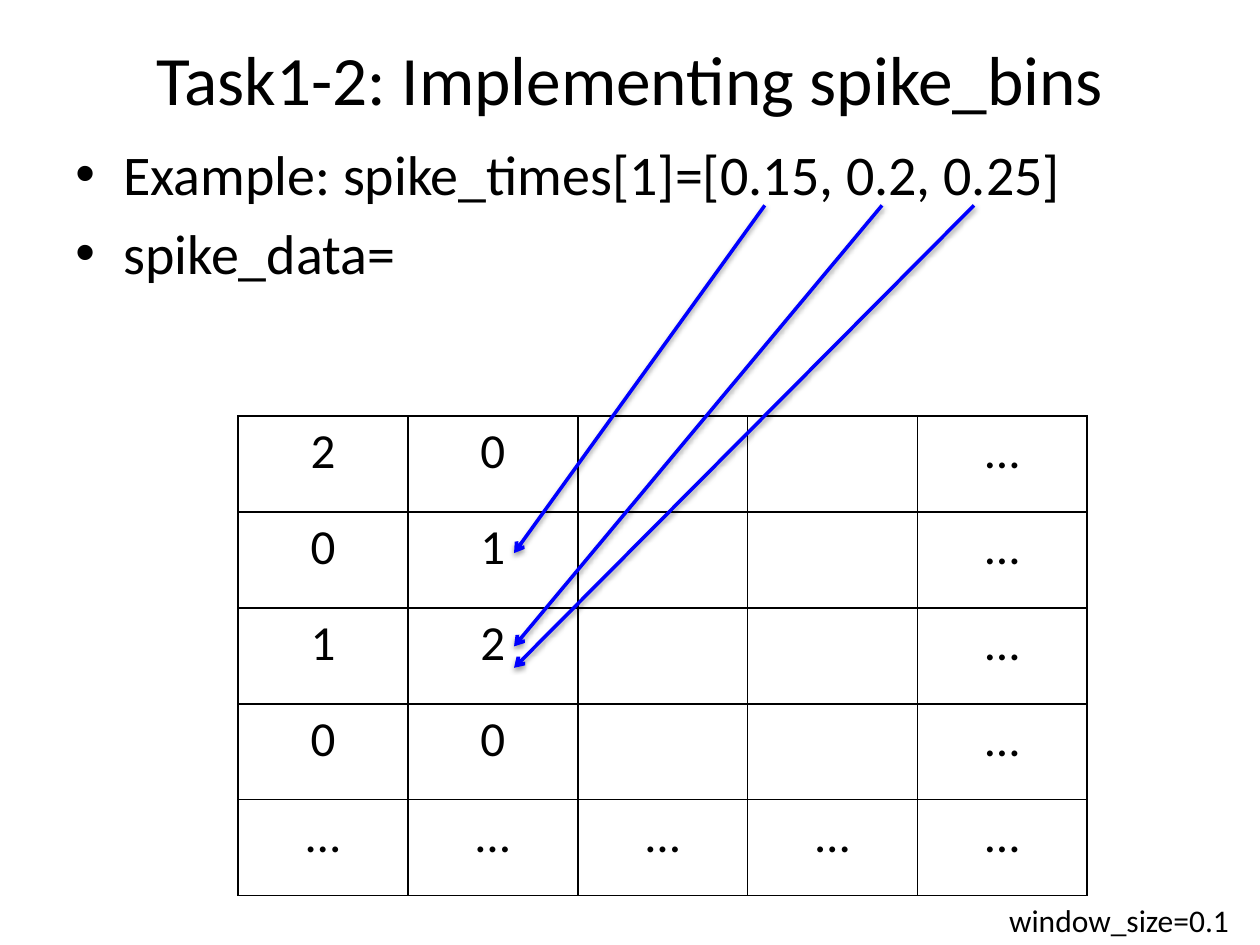
from lxml.etree import SubElement
from pptx import Presentation
from pptx.dml.color import RGBColor
from pptx.enum.shapes import MSO_CONNECTOR as Connector
from pptx.enum.text import MSO_ANCHOR as Anchor, MSO_AUTO_SIZE as AutoSize, PP_ALIGN as Align
from pptx.oxml.ns import qn
from pptx.util import Inches, Pt

BLACK = RGBColor(0x00, 0x00, 0x00)
BLUE = RGBColor(0x00, 0x00, 0xFF)

BINS = [
    ["2", "0", "", "", "…"],
    ["0", "1", "", "", "…"],
    ["1", "2", "", "", "…"],
    ["0", "0", "", "", "…"],
    ["…"] * 5,
]
SPIKE_ARROWS = [
    ((6.07, 1.63), (4.08, 4.39)),
    ((7, 1.63), (4.08, 5.13)),
    ((7.73, 1.63), (4.08, 5.3)),
]


def add_element(parent, tag, **attributes):
    """Append a DrawingML child with the given attributes."""
    return SubElement(parent, qn(tag), {name: str(value) for name, value in attributes.items()})


class SlideBuilder:
    """Hold the text style and the current slide, and draw each kind of element."""

    font_name = "Calibri"

    def __init__(self, slide):
        self.slide = slide

    def styled_run(self, paragraph, text, size):
        """Add a styled run to a paragraph."""
        run = paragraph.add_run()
        run.text = text
        for name, value in {"name": self.font_name, "size": Pt(size)}.items():
            setattr(run.font, name, value)
        run.font.color.rgb = BLACK

    def text(self, box, lines, size, align=Align.LEFT, bullets=False, **frame_format):
        """Add a text box with one paragraph per line."""
        frame = self.slide.shapes.add_textbox(*map(Inches, box)).text_frame
        for name, value in {"word_wrap": True, **frame_format}.items():
            setattr(frame, name, value)
        for index, line in enumerate(lines):
            paragraph = frame.add_paragraph() if index else frame.paragraphs[0]
            paragraph.alignment = align
            if index:
                paragraph.space_before = Pt(size * 0.2)
            if bullets:
                self.bullet(paragraph)
            self.styled_run(paragraph, line, size)

    def bullet(self, paragraph):
        """Give a paragraph a hanging round bullet."""
        properties = paragraph._p.get_or_add_pPr()
        properties.set("marL", str(Inches(0.38)))
        properties.set("indent", str(Inches(-0.38)))
        add_element(properties, "a:buFont", typeface="Arial")
        add_element(properties, "a:buChar", char="•")

    def table(self, box, rows, size):
        """Add a ruled table with equal columns and rows."""
        left, top, width, height = map(Inches, box)
        table = self.slide.shapes.add_table(len(rows), len(rows[0]), left, top, width, height).table
        table.first_row = table.horz_banding = False
        for row_index, values in enumerate(rows):
            for column_index, value in enumerate(values):
                cell = table.cell(row_index, column_index)
                self.borders(cell)
                cell.fill.background()
                if value:
                    paragraph = cell.text_frame.paragraphs[0]
                    paragraph.alignment = Align.CENTER
                    self.styled_run(paragraph, value, size)

    def borders(self, cell):
        """Rule all four sides of a cell."""
        properties = cell._tc.get_or_add_tcPr()
        for side in "LRTB":
            line = add_element(properties, f"a:ln{side}", w=Pt(1))
            add_element(add_element(line, "a:solidFill"), "a:srgbClr", val=BLACK)

    def arrow(self, start, end):
        """Add a straight blue arrow with a soft shadow."""
        points = map(Inches, (*start, *end))
        connector = self.slide.shapes.add_connector(Connector.STRAIGHT, *points)
        connector.line.color.rgb = BLUE
        connector.line.width = Pt(2)
        add_element(connector.line._get_or_add_ln(), "a:tailEnd", type="arrow")
        effects = add_element(connector._element.spPr, "a:effectLst")
        shadow = add_element(effects, "a:outerShdw", blurRad=Pt(3.1), dist=Pt(1.6),
                             dir=90 * 60000, rotWithShape=0)
        color = add_element(shadow, "a:srgbClr", val=BLACK)
        add_element(color, "a:alpha", val=38000)


def main():
    """Build and save the slide."""
    presentation = Presentation()
    presentation.slide_width, presentation.slide_height = Inches(10), Inches(7.5)
    builder = SlideBuilder(presentation.slides.add_slide(presentation.slide_layouts[6]))
    builder.text((0.5, 0.3, 9, 0.64), ["Task1-2: Implementing spike_bins"], 39.6,
                 align=Align.CENTER, vertical_anchor=Anchor.MIDDLE)
    builder.text((0.5, 1.06, 9, 5.64),
                 ["Example: spike_times[1]=[0.15, 0.2, 0.25]", "spike_data="], 32, bullets=True)
    builder.table((1.89, 3.3, 6.74, 3.81), BINS, 28)
    builder.text((7.91, 7.1, 2.09, 0.4), ["window_size=0.1"], 18,
                 auto_size=AutoSize.SHAPE_TO_FIT_TEXT)
    for start, end in SPIKE_ARROWS:
        builder.arrow(start, end)
    presentation.save("out.pptx")


if __name__ == "__main__":
    main()
